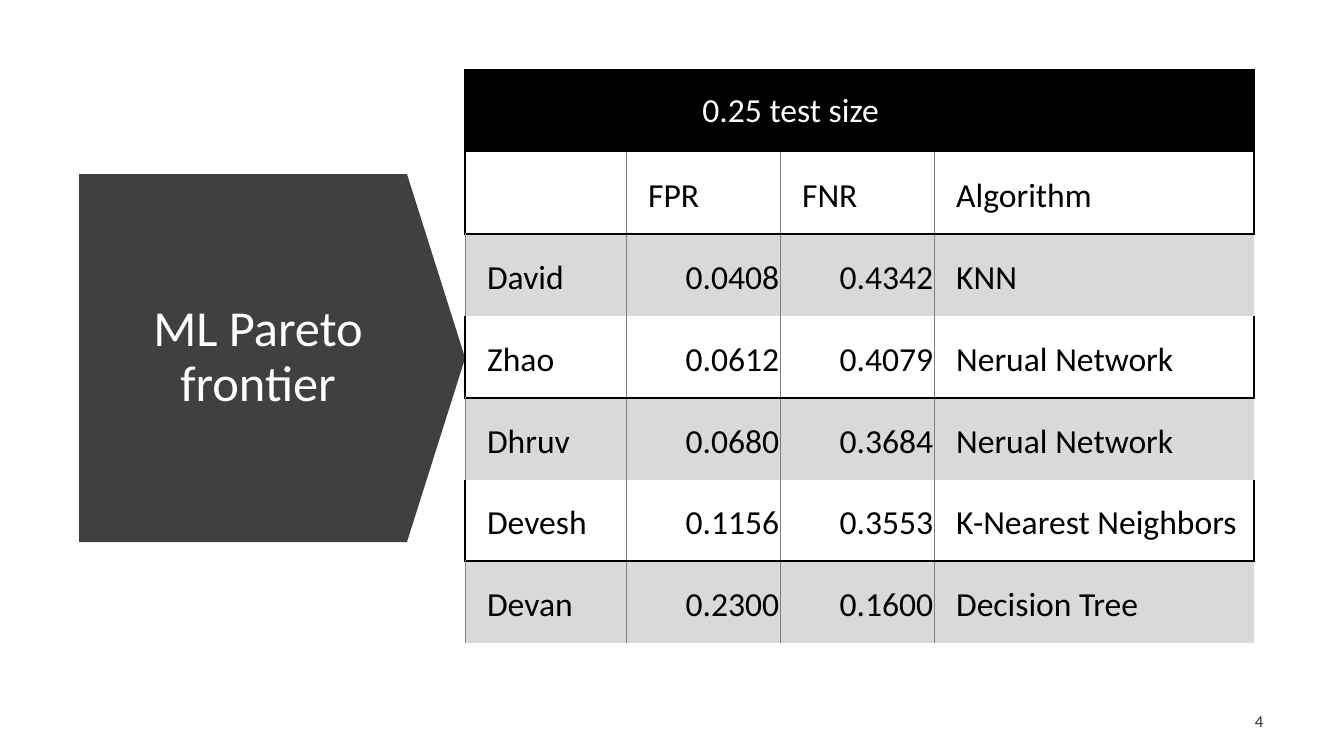
"""Build the ML Pareto frontier slide: an arrow title beside a results table."""
import lxml.etree
import pptx
import pptx.dml.color
import pptx.enum.shapes
import pptx.enum.text
import pptx.oxml.ns
import pptx.util

TITLE = "ML Pareto frontier"
PAGE_NUMBER = "4"
RESULTS = [
    ("", "0.25 test size", "", ""),
    ("", "FPR", "FNR", "Algorithm"),
    ("David", "0.0408", "0.4342", "KNN"),
    ("Zhao", "0.0612", "0.4079", "Nerual Network"),
    ("Dhruv", "0.0680", "0.3684", "Nerual Network"),
    ("Devesh", "0.1156", "0.3553", "K-Nearest Neighbors"),
    ("Devan", "0.2300", "0.1600", "Decision Tree"),
]
COLUMN_WIDTHS = (161, 154, 154, 320)
ROW_HEIGHTS = (82, 82, 82, 82, 82, 81, 82)
TABLE_LEFT, TABLE_TOP = 465, 70
ARROW_BOX = (88, 165, 368, 386)
TITLE_BOX = (113, 217, 290, 281)
PAGE_BOX = (1217, 701, 56, 40)
CELL_MARGINS = {"left": 22, "top": 17, "right": 1, "bottom": 17}
THEME = {
    "font": "Calibri", "title": 36, "cell": 24, "page": 12,
    "white": "FFFFFF", "black": "000000", "arrow": "404040",
    "band": "D9D9D9", "page_ink": "333333", "grid": "808080",
}
HEAVY, THIN = (THEME["black"], 1.5), (THEME["grid"], 0.5)
PP_ALIGN = pptx.enum.text.PP_ALIGN
ANCHOR = pptx.enum.text.MSO_ANCHOR


def px(length):
    return pptx.util.Emu(round(length * 914400 / 100.8))


def rgb(name):
    return pptx.dml.color.RGBColor.from_string(THEME[name])


def write(frame, text, size, ink, align):
    frame.text = text
    paragraph = frame.paragraphs[0]
    paragraph.alignment = align
    for run in paragraph.runs:
        run.font.name = THEME["font"]
        run.font.size = pptx.util.Pt(THEME[size])
        run.font.color.rgb = rgb(ink)
    return paragraph


def add_text(slide, box, *content):
    frame = slide.shapes.add_textbox(*map(px, box)).text_frame
    frame.word_wrap = True
    frame.vertical_anchor = ANCHOR.MIDDLE
    return write(frame, *content)


def cell_edges(row, column):
    shaded = row > 1 and row % 2 == 0
    inner = THIN if row else None
    return {
        "L": inner if column else THIN if shaded else HEAVY,
        "R": inner if column < len(COLUMN_WIDTHS) - 1 else None if shaded else HEAVY,
        "T": HEAVY if row == 0 or shaded else None,
        "B": HEAVY if row % 2 else None,
    }


def draw_edges(cell, edges):
    qn = pptx.oxml.ns.qn
    properties = cell._tc.get_or_add_tcPr()
    for side, edge in edges.items():
        line = lxml.etree.SubElement(properties, qn(f"a:ln{side}"))
        if edge is None:
            lxml.etree.SubElement(line, qn("a:noFill"))
            continue
        color, width = edge
        line.set("w", str(pptx.util.Pt(width)))
        fill = lxml.etree.SubElement(line, qn("a:solidFill"))
        lxml.etree.SubElement(fill, qn("a:srgbClr"), val=color)


def fill_cell(cell, row, column, text):
    for side, margin in CELL_MARGINS.items():
        setattr(cell, f"margin_{side}", px(margin))
    draw_edges(cell, cell_edges(row, column))
    if row == 0 or row % 2 == 0:
        cell.fill.solid()
        cell.fill.fore_color.rgb = rgb("band" if row else "black")
    else:
        cell.fill.background()
    cell.vertical_anchor = ANCHOR.BOTTOM if row else ANCHOR.MIDDLE
    numeric = row > 1 and column in (1, 2)
    align = PP_ALIGN.RIGHT if numeric else PP_ALIGN.LEFT if row else PP_ALIGN.CENTER
    write(cell.text_frame, text, "cell", "black" if row else "white", align)


def add_results(slide):
    frame = slide.shapes.add_table(
        len(RESULTS), len(COLUMN_WIDTHS), px(TABLE_LEFT), px(TABLE_TOP),
        px(sum(COLUMN_WIDTHS)), px(sum(ROW_HEIGHTS)))
    table = frame.table
    table.first_row = table.horz_banding = False
    for column, width in zip(table.columns, COLUMN_WIDTHS):
        column.width = px(width)
    for row, height in zip(table.rows, ROW_HEIGHTS):
        row.height = px(height)
    for row, values in enumerate(RESULTS):
        for column, text in enumerate(values):
            fill_cell(table.cell(row, column), row, column, text)
    table.cell(0, 1).merge(table.cell(0, 2))


def add_arrow(slide):
    arrow = slide.shapes.add_shape(
        pptx.enum.shapes.MSO_SHAPE.DOWN_ARROW, *map(px, ARROW_BOX))
    arrow.rotation = 270
    arrow.adjustments[0], arrow.adjustments[1] = 1, 0.158
    arrow.shadow.inherit = False
    arrow.fill.solid()
    arrow.fill.fore_color.rgb = rgb("arrow")
    arrow.line.fill.background()


presentation = pptx.Presentation()
presentation.slide_width = pptx.util.Inches(13.33)
presentation.slide_height = pptx.util.Inches(7.5)
slide = presentation.slides.add_slide(presentation.slide_layouts[6])
add_arrow(slide)
title = add_text(slide, TITLE_BOX, TITLE, "title", "white", PP_ALIGN.CENTER)
title.line_spacing = 0.9
page = add_text(slide, PAGE_BOX, PAGE_NUMBER, "page", "page_ink", PP_ALIGN.RIGHT)
page.space_after = pptx.util.Pt(6)
add_results(slide)
presentation.save("out.pptx")
